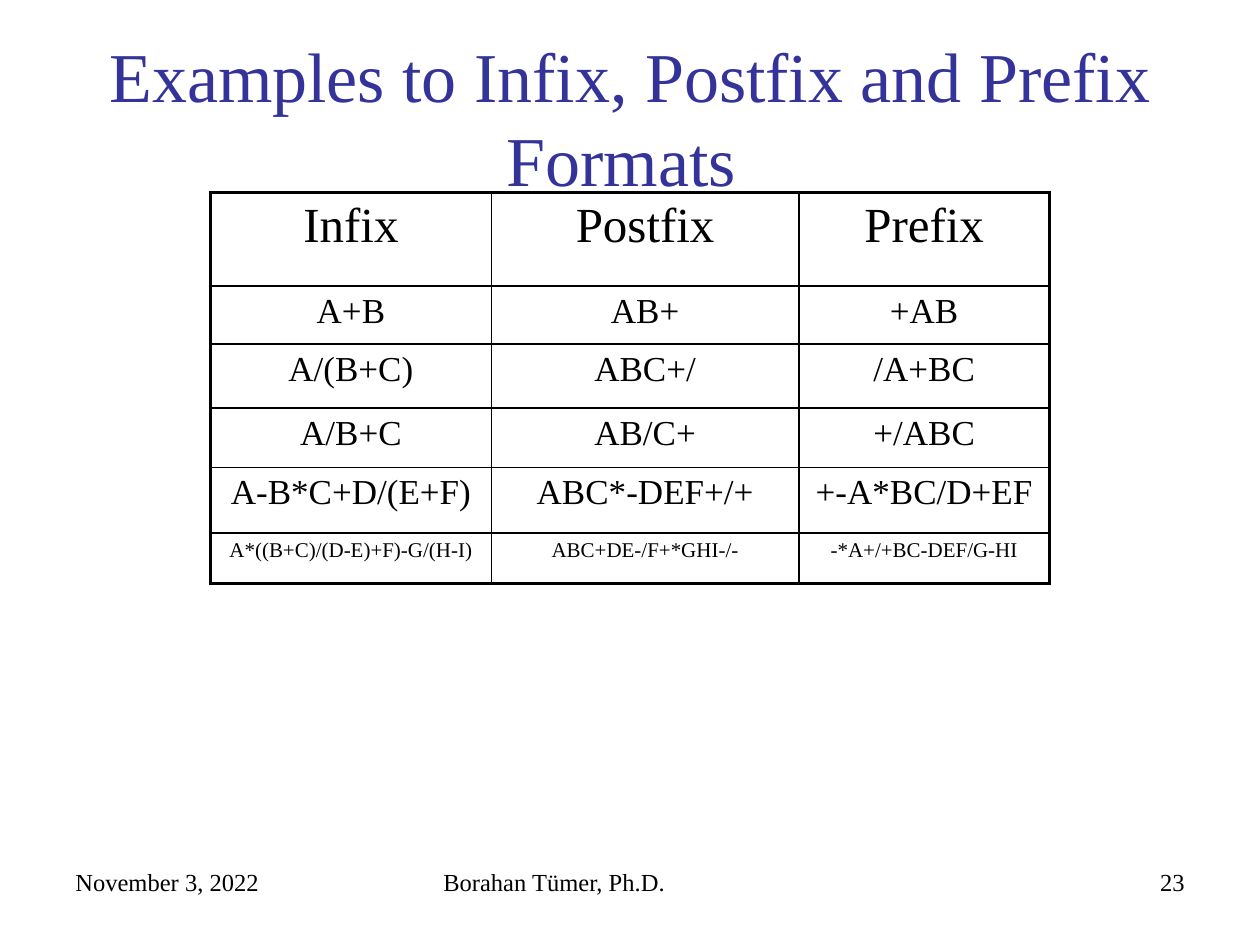
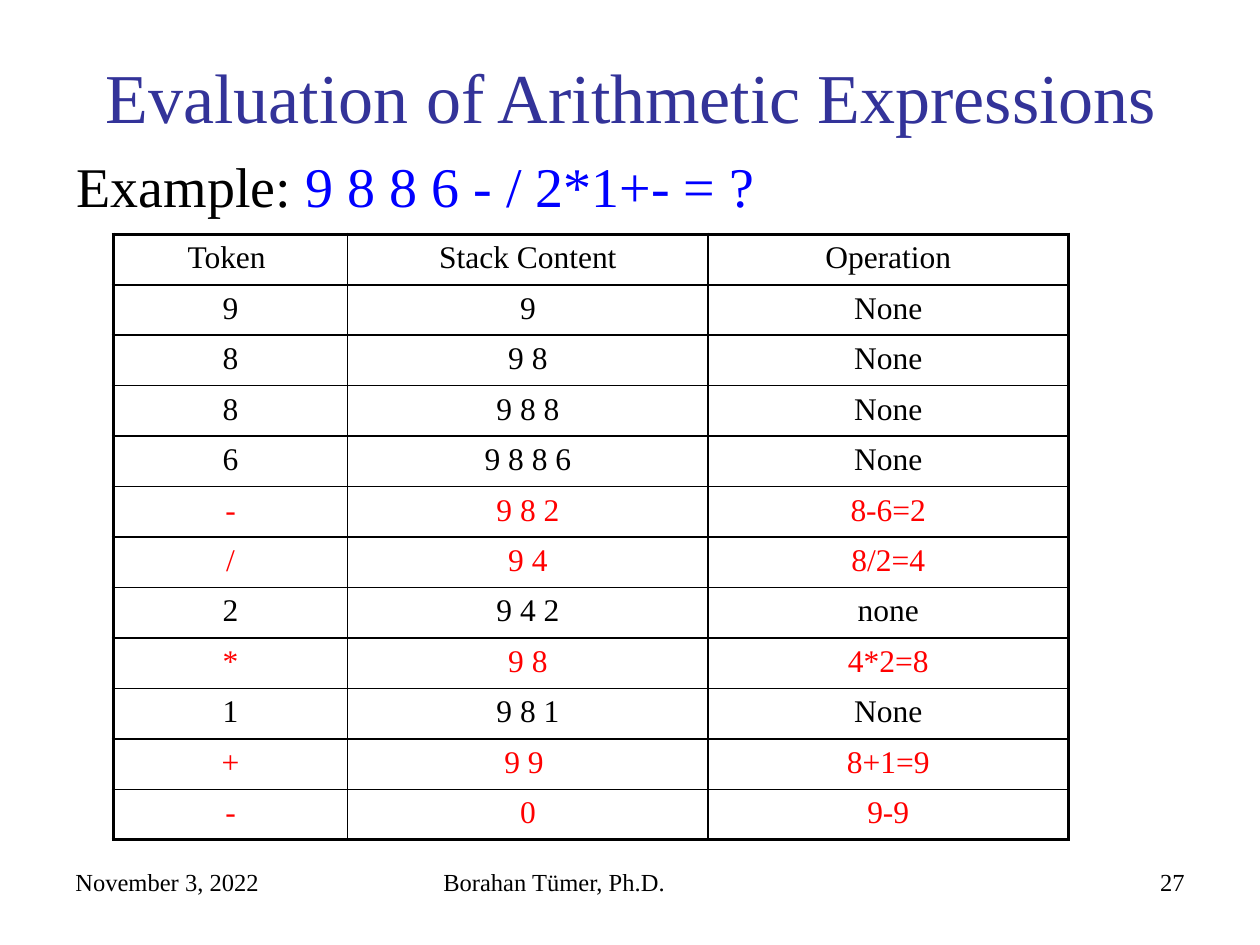
from dataclasses import dataclass

from lxml import etree
from pptx import Presentation
from pptx.dml.color import RGBColor
from pptx.enum.text import MSO_ANCHOR, PP_ALIGN
from pptx.oxml.ns import qn
from pptx.util import Inches, Pt

LEFT, CENTER, RIGHT = PP_ALIGN.LEFT, PP_ALIGN.CENTER, PP_ALIGN.RIGHT
TOP, MIDDLE = MSO_ANCHOR.TOP, MSO_ANCHOR.MIDDLE


@dataclass(frozen=True)
class Theme:
    font: str = "Times New Roman"
    ink: str = "000000"
    title: str = "333399"
    expression: str = "0000FF"
    operator: str = "FF0000"
    title_size: int = 40
    body_size: int = 32
    footer_size: int = 14
    outer_line: float = 2.25
    inner_line: float = 1


T = Theme()


def write(tf, *runs, size, color=T.ink, align=LEFT, anchor=TOP):
    """Write one paragraph; a run is a text or a (text, color) pair."""
    tf.word_wrap = True
    tf.vertical_anchor = anchor
    p = tf.paragraphs[0]
    p.alignment = align
    for run in runs:
        text, run_color = (run, color) if isinstance(run, str) else run
        r = p.add_run()
        r.text = text
        r.font.name = T.font
        r.font.size = Pt(size)
        r.font.color.rgb = RGBColor.from_string(run_color)
    return p


def add_grid(s, left, top, widths, heights, rows, sizes, colors):
    """Add an unfilled table with a heavy frame and thin inner lines."""
    last_row, last_col = len(rows) - 1, len(widths) - 1
    table = s.shapes.add_table(
        len(rows), len(widths), Inches(left), Inches(top),
        Inches(sum(widths)), Inches(sum(heights))).table
    table.first_row = table.horz_banding = False
    for column, width in zip(table.columns, widths):
        column.width = Inches(width)
    for i, row in enumerate(rows):
        table.rows[i].height = Inches(heights[i])
        for j, text in enumerate(row):
            cell = table.cell(i, j)
            write(cell.text_frame, text, size=sizes[i], color=colors[i], align=CENTER)
            tcPr = cell._tc.get_or_add_tcPr()
            edges = {"a:lnL": j == 0, "a:lnR": j == last_col,
                     "a:lnT": i == 0, "a:lnB": i == last_row}
            for tag, is_outer in edges.items():
                weight = Pt(T.outer_line if is_outer else T.inner_line)
                ln = etree.SubElement(tcPr, qn(tag), w=str(weight))
                fill = etree.SubElement(ln, qn("a:solidFill"))
                etree.SubElement(fill, qn("a:srgbClr"), val=T.ink)
            cell.fill.background()


prs = Presentation()
prs.slide_width, prs.slide_height = Inches(10), Inches(7.5)

# Titles and footers
pages = [
    ("Examples to Infix, Postfix and Prefix Formats ", 0.5, 0.3, "23"),
    ("Evaluation of Arithmetic Expressions", 0.51, 0.13, "27"),
]
slides = []
for title, left, top, number in pages:
    s = prs.slides.add_slide(prs.slide_layouts[6])
    slides.append(s)
    sp = s.shapes.add_textbox(Inches(left), Inches(top), Inches(9), Inches(1.25))
    write(sp.text_frame, title, size=T.title_size, color=T.title,
          align=CENTER, anchor=MIDDLE)
    for text, x, width, align in [("November 3, 2022", 0.5, 2.33, LEFT),
                                  ("Borahan Tümer, Ph.D.", 3.42, 3.17, LEFT),
                                  (number, 7.17, 2.33, RIGHT)]:
        sp = s.shapes.add_textbox(Inches(x), Inches(6.83), Inches(width), Inches(0.52))
        write(sp.text_frame, text, size=T.footer_size, align=align)

formats_slide, evaluation_slide = slides

# Notation table
notations = [
    ("Infix", "Postfix", "Prefix"),
    ("A+B", "AB+", "+AB"),
    ("A/(B+C)", "ABC+/", "/A+BC"),
    ("A/B+C", "AB/C+", "+/ABC"),
    ("A-B*C+D/(E+F)", "ABC*-DEF+/+", "+-A*BC/D+EF"),
    ("A*((B+C)/(D-E)+F)-G/(H-I)", "ABC+DE-/F+*GHI-/-", "-*A+/+BC-DEF/G-HI"),
]
add_grid(formats_slide, 1.67, 1.53, [2.23, 2.44, 1.99],
         [0.74, 0.46, 0.51, 0.47, 0.52, 0.4], notations,
         sizes=[28, 20, 20, 20, 20, 12], colors=[T.ink] * len(notations))

# Example expression
sp = evaluation_slide.shapes.add_textbox(Inches(0.51), Inches(1.15), Inches(9), Inches(4.95))
p = write(sp.text_frame, "Example: ", ("9 8 8 6 - / 2*1+- = ?", T.expression),
          size=T.body_size)
p.space_before = Pt(T.body_size * 0.2)

# Stack trace, with operator steps highlighted
steps = [
    ("Token ", "Stack Content", "Operation"),
    ("9", "9", "None"),
    ("8", "9 8", "None"),
    ("8", "9 8 8", "None"),
    ("6", "9 8 8 6", "None"),
    ("-", "9 8 2", "8-6=2"),
    ("/", "9 4", "8/2=4"),
    ("2", "9 4 2", "none"),
    ("*", "9 8", "4*2=8"),
    ("1", "9 8 1", "None"),
    ("+", "9 9 ", "8+1=9"),
    ("-", "0", "9-9"),
]
add_grid(evaluation_slide, 0.9, 1.86, [1.86, 2.86, 2.86], [0.37] * len(steps), steps,
         sizes=[18] * len(steps),
         colors=[T.operator if token in "+-*/" else T.ink for token, _, _ in steps])

prs.save("out.pptx")
